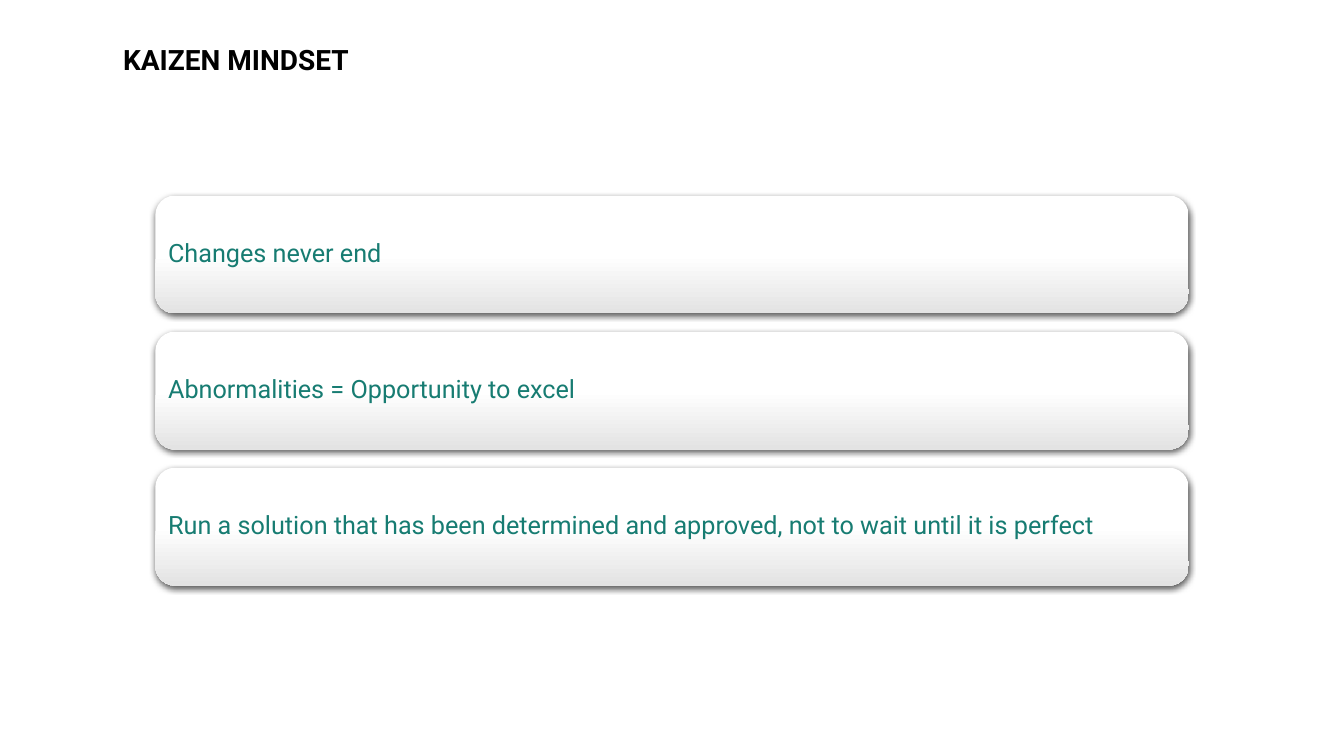
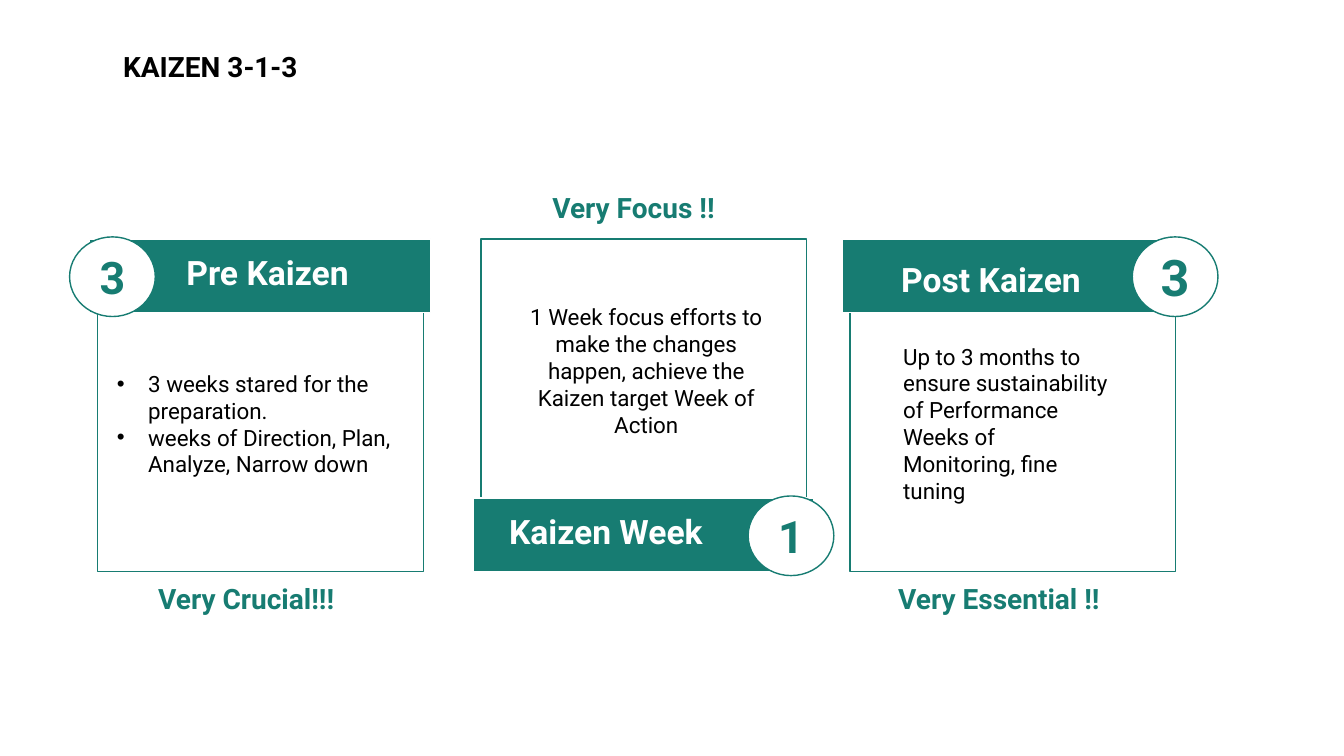
from lxml import etree
from pptx import Presentation
from pptx import util as u
from pptx.dml.color import RGBColor
from pptx.enum import shapes, text
from pptx.oxml import ns

SCALE = 9144  # EMU per px: 100 px to the inch
GREEN = RGBColor(0x17, 0x7C, 0x72)
WHITE = RGBColor(0xFF, 0xFF, 0xFF)
BLACK = RGBColor(0x00, 0x00, 0x00)
SILVER = RGBColor(0xE3, 0xE3, 0xE3)
LEFT, CENTER = text.PP_ALIGN.LEFT, text.PP_ALIGN.CENTER
TOP, MIDDLE = text.MSO_ANCHOR.TOP, text.MSO_ANCHOR.MIDDLE


def add_xml(parent, tag, **attributes):
    return etree.SubElement(parent, ns.qn(tag), attributes)


class SlideMaker:
    font = "Roboto"
    title_layout, body_layout = 5, 1

    def __init__(self):
        self.deck = Presentation()
        self.deck.slide_width, self.deck.slide_height = self.px(1333, 750)
        self.page = None

    @staticmethod
    def px(*lengths):
        return [u.Emu(length * SCALE) for length in lengths]

    def new_page(self, title, top, layout):
        self.page = self.deck.slides.add_slide(self.deck.slide_layouts[layout])
        box = self.page.shapes.title
        self.place(box, 112, top, 667, 44)
        self.set_text(box, [title], 20, BLACK, bold=True)

    def place(self, box, *at):
        box.left, box.top, box.width, box.height = self.px(*at)

    def set_text(self, box, lines, size, color, bold=False, align=LEFT,
                 anchor=TOP, bullet=None, spacing=1.0):
        frame = box.text_frame
        frame.word_wrap = True
        frame.auto_size = text.MSO_AUTO_SIZE.NONE
        frame.vertical_anchor = anchor
        for index, line in enumerate(lines):
            para = frame.add_paragraph() if index else frame.paragraphs[0]
            if bullet:
                self.add_bullet(para, bullet)
            para.alignment = align
            para.line_spacing = spacing
            para.space_before = u.Pt(0)
            span = para.add_run()
            span.text = line
            span.font.name, span.font.size = self.font, u.Pt(size)
            span.font.bold = bold
            span.font.color.rgb = color

    def add_bullet(self, para, mark):
        indent = self.px(31)[0]
        props = para._p.get_or_add_pPr()
        props.set("marL", str(indent))
        props.set("indent", str(-indent))
        add_xml(props, "a:buFont", typeface="Arial")
        add_xml(props, "a:buChar", char=mark)

    def label(self, at, line, size, color, **style):
        box = self.page.shapes.add_textbox(*self.px(*at))
        self.set_text(box, [line], size, color, **style)

    def bullets(self, at, lines, size):
        """Fill the body placeholder and bring it in front of the panels."""
        box = self.page.placeholders[1]
        self.page.shapes.element.append(box.element)
        self.place(box, *at)
        self.set_text(box, lines, size, BLACK, bullet="•")

    def shape(self, kind, at, fill, line):
        box = self.page.shapes.add_shape(kind, *self.px(*at))
        box.shadow.inherit = False
        box.fill.solid()
        box.fill.fore_color.rgb = fill
        box.line.color.rgb = line
        box.line.width = u.Pt(1)
        return box

    def badge(self, left, top, digit, size):
        box = self.shape(shapes.MSO_SHAPE.OVAL, (left, top, 85, 79), WHITE, GREEN)
        self.set_text(box, [digit], size, GREEN, bold=True, align=CENTER, anchor=MIDDLE)

    def card(self, left, panel_top, header_top):
        """Outlined panel with a slightly wider header band."""
        rectangle = shapes.MSO_SHAPE.RECTANGLE
        self.shape(rectangle, (left, panel_top, 323, 267), WHITE, GREEN)
        self.shape(rectangle, (left - 8, header_top, 338, 73), GREEN, WHITE)

    def bar(self, top, line):
        """Rounded bar with a soft gradient and a drop shadow."""
        at = self.px(154, top, 1025, 117)
        box = self.page.shapes.add_shape(shapes.MSO_SHAPE.ROUNDED_RECTANGLE, *at)
        box.line.fill.background()
        box.fill.gradient()
        box.fill.gradient_angle = 270
        for stop, position, color in zip(box.fill.gradient_stops, (0.5, 1), (WHITE, SILVER)):
            stop.position = position
            stop.color.rgb = color
        box.shadow.inherit = False
        effects = box.element.spPr.find(ns.qn("a:effectLst"))
        shadow = add_xml(effects, "a:outerShdw", blurRad=str(u.Pt(4.5)),
                         dist=str(u.Pt(1.5)), dir="5400000", rotWithShape="0")
        shade = add_xml(shadow, "a:srgbClr", val=str(BLACK))
        add_xml(shade, "a:alpha", val="63000")
        frame = box.text_frame
        frame.margin_left, frame.margin_right = self.px(7, 7)
        self.set_text(box, [line], 18, GREEN, anchor=MIDDLE, spacing=0.9)


def mindset_page(maker):
    maker.new_page("KAIZEN MINDSET", 37, maker.title_layout)
    principles = (
        "Changes never end",
        "Abnormalities = Opportunity to excel",
        "Run a solution that has been determined and approved, not to wait until it is perfect",
    )
    for index, principle in enumerate(principles):
        maker.bar(194 + 135 * index, principle)


def phases_page(maker):
    maker.new_page("KAIZEN 3-1-3", 44, maker.body_layout)
    high, low = 237, 494
    for left, panel_top, header_top in ((97, 300, high), (477, high, low), (843, 300, high)):
        maker.card(left, panel_top, header_top)

    for at, name in (
        ((175, 245, 210, 50), "Pre Kaizen"),
        ((495, 502, 248, 50), "Kaizen Week"),
        ((884, 252, 227, 50), "Post Kaizen"),
    ):
        maker.label(at, name, 24, WHITE, bold=True)

    for at, remark in (
        ((147, 572, 218, 44), "Very Crucial!!!"),
        ((538, 184, 200, 44), "Very Focus !!"),
        ((881, 572, 245, 44), "Very Essential !!"),
    ):
        maker.label(at, remark, 20, GREEN, bold=True)

    for left, header_top, digit, size in (
        (69, high, "3", 32), (742, low, "1", 32), (1123, high, "3", 36),
    ):
        maker.badge(left, header_top - 2, digit, size)

    maker.bullets((106, 362, 301, 118), (
        "3 weeks stared for the preparation.",
        "weeks of Direction, Plan, Analyze, Narrow down",
    ), 16)
    maker.label(
        (509, 296, 264, 145),
        "1 Week focus efforts to make the changes happen, "
        "achieve the Kaizen target Week of Action",
        16, BLACK, align=CENTER)
    maker.label(
        (886, 335, 224, 172),
        "Up to 3 months to ensure sustainability of Performance "
        "Weeks of Monitoring, fine tuning",
        16, BLACK)


def main():
    maker = SlideMaker()
    mindset_page(maker)
    phases_page(maker)
    maker.deck.save("out.pptx")


if __name__ == "__main__":
    main()
